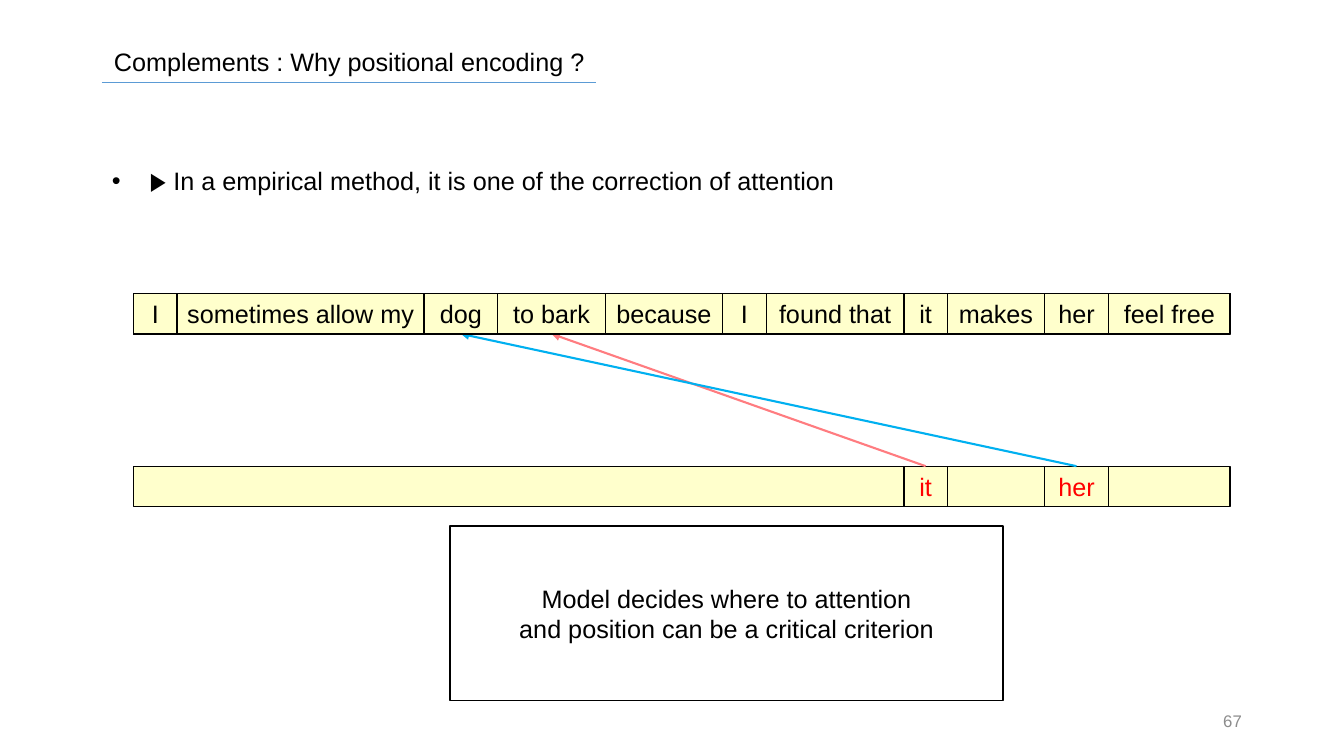
from dataclasses import dataclass
from itertools import accumulate

from lxml import etree
from pptx import Presentation
from pptx.dml.color import RGBColor
from pptx.enum import shapes, text
from pptx.oxml import ns
from pptx.util import Pt

BLACK = RGBColor(0x00, 0x00, 0x00)
WHITE = RGBColor(0xFF, 0xFF, 0xFF)
GRAY = RGBColor(0x8C, 0x8C, 0x8C)
RED = RGBColor(0xFF, 0x00, 0x00)
CREAM = RGBColor(0xFF, 0xFF, 0xCC)
RULE_BLUE = RGBColor(0x5B, 0x9B, 0xD5)
PINK = RGBColor(0xFF, 0x7C, 0x80)
SKY = RGBColor(0x00, 0xB0, 0xF0)

ROW_LEFT, ROW_WIDTH, ROW_H = 95.3, 783.2, 29
SENTENCE_TOP, QUERY_TOP = 209.5, 333


@dataclass
class Word:
    label: str
    width: float


@dataclass
class Attention:
    source: int
    target: int
    color: RGBColor


WORDS = [
    Word("I", 31.2), Word("sometimes allow my", 176.4), Word("dog", 52.6),
    Word("to bark", 77), Word("because", 83.5), Word("I", 31.4),
    Word("found that", 98.2), Word("it", 31.2), Word("makes", 69.3),
    Word("her", 45.7), Word("feel free", 86.9),
]
LEFTS = list(accumulate((w.width for w in WORDS), initial=ROW_LEFT))
ATTENTIONS = [Attention(7, 3, PINK), Attention(9, 2, SKY)]


def write(s, content: str, size: float = 18, color: RGBColor = BLACK,
          align=text.PP_ALIGN.LEFT, anchor=text.MSO_ANCHOR.TOP, wrap: bool = True) -> None:
    tf = s.text_frame
    tf.text = content
    tf.auto_size = text.MSO_AUTO_SIZE.NONE
    tf.word_wrap = wrap
    tf.vertical_anchor = anchor
    for p in tf.paragraphs:
        p.alignment = align
        p.space_before = Pt(0)
        for r in p.runs:
            r.font.name, r.font.size = "Arial", Pt(size)
            r.font.color.rgb = color


def place(s, left: float, top: float, width: float, height: float) -> None:
    s.left, s.top, s.width, s.height = Pt(left), Pt(top), Pt(width), Pt(height)


def add_box(slide, left: float, top: float, width: float, height: float,
            fill: RGBColor | None = None, content: str = "",
            color: RGBColor = BLACK) -> None:
    s = slide.shapes.add_shape(shapes.MSO_SHAPE.RECTANGLE,
                               Pt(left), Pt(top), Pt(width), Pt(height))
    s.shadow.inherit = False
    if fill is None:
        s.fill.background()
    else:
        s.fill.solid()
        s.fill.fore_color.rgb = fill
    s.line.color.rgb = BLACK
    s.line.width = Pt(1)
    if content:
        write(s, content, color=color, align=text.PP_ALIGN.CENTER,
              anchor=text.MSO_ANCHOR.MIDDLE, wrap=False)


def add_word(slide, index: int, top: float, color: RGBColor) -> None:
    word = WORDS[index]
    add_box(slide, LEFTS[index], top, word.width, ROW_H, content=word.label, color=color)


def add_line(slide, x1: float, y1: float, x2: float, y2: float,
             color: RGBColor, width: float, arrow: bool = False) -> None:
    s = slide.shapes.add_connector(shapes.MSO_CONNECTOR.STRAIGHT,
                                   Pt(x1), Pt(y1), Pt(x2), Pt(y2))
    s.line.color.rgb = color
    s.line.width = Pt(width)
    if arrow:
        etree.SubElement(s.line._get_or_add_ln(), ns.qn("a:tailEnd"), type="triangle")
    etree.SubElement(s._element.spPr, ns.qn("a:effectLst"))


def center(index: int) -> float:
    return LEFTS[index] + WORDS[index].width / 2


def main() -> None:
    prs = Presentation()
    prs.slide_width, prs.slide_height = Pt(960), Pt(540)
    slide = prs.slides.add_slide(prs.slide_layouts[1])

    # Title, its rule and the statement
    title, body = slide.placeholders
    place(title, 74.2, 29.5, 409.7, 29)
    write(title, "Complements : Why positional encoding ?")
    add_line(slide, 72.7, 59, 425.5, 59, RULE_BLUE, 0.5)
    place(body, 72.7, 114.5, 598.3, 29)
    pPr = body.text_frame.paragraphs[0]._p.get_or_add_pPr()
    pPr.set("marL", "0")
    pPr.set("indent", "0")
    etree.SubElement(pPr, ns.qn("a:buNone"))
    write(body, "▶ In a empirical method, it is one of the correction of attention")

    # Query row with the attending words
    add_box(slide, ROW_LEFT, QUERY_TOP, ROW_WIDTH, ROW_H, CREAM)
    for attention in ATTENTIONS:
        add_word(slide, attention.source, QUERY_TOP, RED)

    # Attention arrows
    for attention in ATTENTIONS:
        add_line(slide, center(attention.source), QUERY_TOP, center(attention.target),
                 SENTENCE_TOP + ROW_H, attention.color, 1.5, arrow=True)

    # Sentence row
    add_box(slide, ROW_LEFT, SENTENCE_TOP, ROW_WIDTH, ROW_H, CREAM)
    for index in range(len(WORDS)):
        add_word(slide, index, SENTENCE_TOP, BLACK)

    # Conclusion and page number
    add_box(slide, 321.3, 375.8, 395.3, 124.6, WHITE,
            "Model decides where to attention\nand position can be a critical criterion")
    number = slide.shapes.add_textbox(Pt(678.2), Pt(500.4), Pt(216), Pt(28.8))
    write(number, "67", 12, GRAY, text.PP_ALIGN.RIGHT, text.MSO_ANCHOR.MIDDLE)

    prs.save("out.pptx")


if __name__ == "__main__":
    main()
